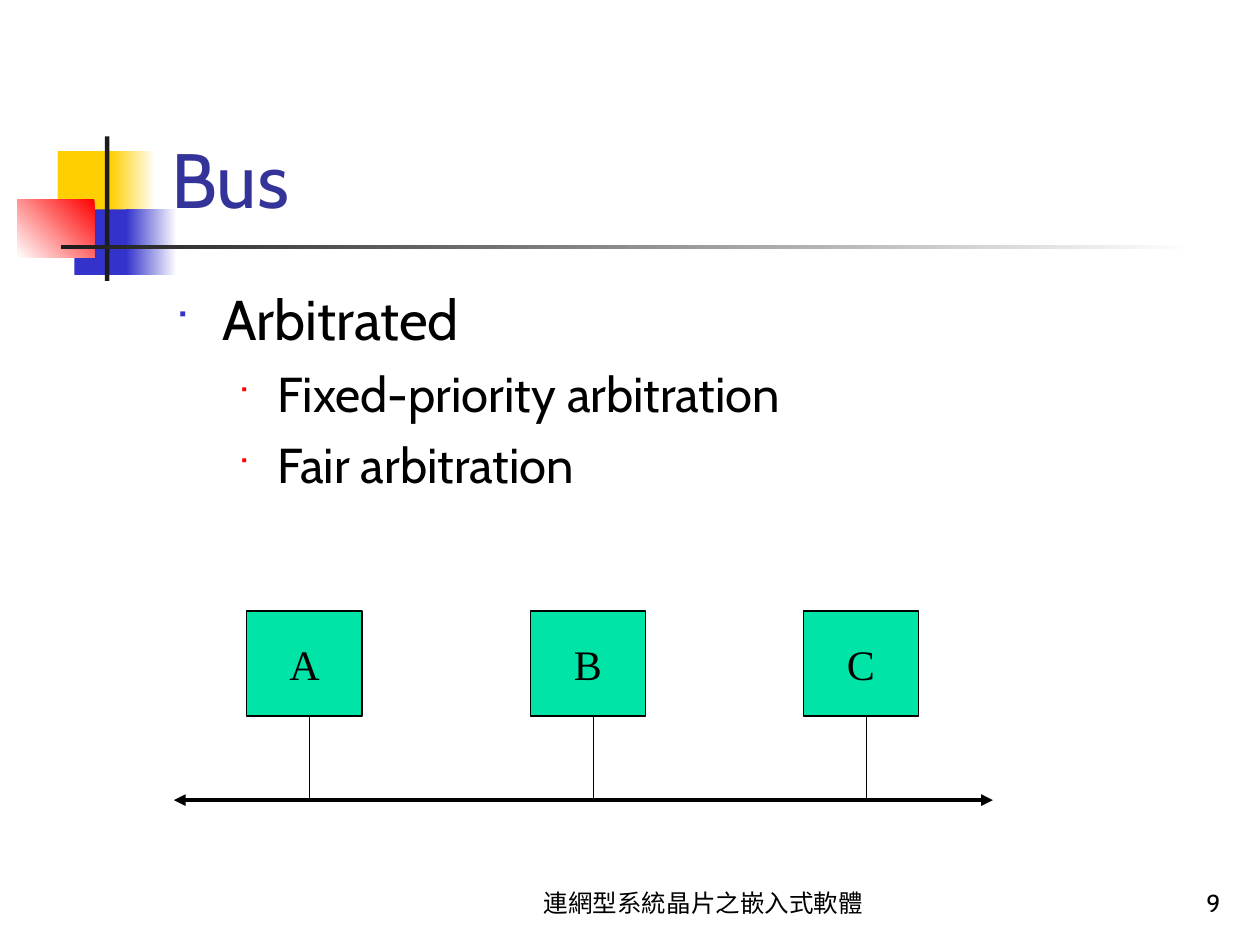
from lxml import etree
from pptx import Presentation
from pptx.dml.color import RGBColor
from pptx.enum.shapes import MSO_CONNECTOR, MSO_SHAPE
from pptx.enum.text import MSO_ANCHOR, MSO_AUTO_SIZE, PP_ALIGN
from pptx.oxml.ns import qn
from pptx.util import Pt

RECT = MSO_SHAPE.RECTANGLE
LINE = MSO_CONNECTOR.STRAIGHT
FIXED = MSO_AUTO_SIZE.NONE
LEFT, MID, RIGHT = PP_ALIGN.LEFT, PP_ALIGN.CENTER, PP_ALIGN.RIGHT
TOP, CENTER, BOTTOM = MSO_ANCHOR.TOP, MSO_ANCHOR.MIDDLE, MSO_ANCHOR.BOTTOM

WHITE = RGBColor(0xFF, 0xFF, 0xFF)
BLACK = RGBColor(0, 0, 0)
GOLD = RGBColor(0xFF, 0xCF, 0x01)
BLUE = RGBColor(0x33, 0x33, 0xCC)
RED = RGBColor(0xFF, 0, 0)
DARK = RGBColor(0x1C, 0x1C, 0x1C)
NAVY = RGBColor(0x33, 0x33, 0x99)
GREEN = RGBColor(0, 0xE4, 0xA8)


class Deck:
    sans = "Cabin"
    serif = "Times New Roman"

    def __init__(self, wide, high):
        self.file = Presentation()
        self.file.slide_width, self.file.slide_height = Pt(wide), Pt(high)
        self.slide = self.file.slides.add_slide(self.file.slide_layouts[5])
        self.shapes = self.slide.shapes

    def text(self, para, words, size, color=BLACK, font=sans, align=LEFT):
        para.alignment = align
        run = para.add_run()
        run.text = words
        run.font.size, run.font.name = Pt(size), font
        run.font.color.rgb = color

    def title(self, words, x, y, w, h):
        head = self.shapes.title
        head.left, head.top, head.width, head.height = map(Pt, (x, y, w, h))
        frame = head.text_frame
        frame.auto_size = FIXED
        frame.vertical_anchor = BOTTOM
        self.text(frame.paragraphs[0], words, 44, NAVY)

    def rect(self, x, y, w, h, color):
        shape = self.shapes.add_shape(RECT, Pt(x), Pt(y), Pt(w), Pt(h))
        shape.shadow.inherit = False
        shape.fill.solid()
        shape.fill.fore_color.rgb = color
        shape.line.fill.background()
        return shape

    def fade(self, x, y, w, h, start, end, angle=180):
        fill = self.rect(x, y, w, h, start).fill
        fill.gradient()
        fill.gradient_angle = angle
        for stop, color in zip(fill.gradient_stops, (start, end)):
            stop.color.rgb = color

    def node(self, name, x, y, w, h):
        shape = self.rect(x, y, w, h, GREEN)
        shape.line.color.rgb = BLACK
        shape.line.width = Pt(0.75)
        frame = shape.text_frame
        frame.word_wrap = False
        frame.vertical_anchor = CENTER
        self.text(frame.paragraphs[0], name, 24, font=self.serif, align=MID)

    def wire(self, x1, y1, x2, y2, width=0.75, heads=False):
        wire = self.shapes.add_connector(LINE, Pt(x1), Pt(y1), Pt(x2), Pt(y2))
        wire.line.color.rgb = BLACK
        wire.line.width = Pt(width)
        props = wire._element.spPr
        if heads:
            edge = props.find(qn("a:ln"))
            for end in ("a:headEnd", "a:tailEnd"):
                etree.SubElement(edge, qn(end), type="triangle")
        etree.SubElement(props, qn("a:effectLst"))

    def frame(self, x, y, w, h, anchor):
        frame = self.shapes.add_textbox(Pt(x), Pt(y), Pt(w), Pt(h)).text_frame
        frame.word_wrap = True
        frame.vertical_anchor = anchor
        return frame

    def label(self, words, x, y, w, h, align):
        frame = self.frame(x, y, w, h, BOTTOM)
        self.text(frame.paragraphs[0], words, 14, align=align)

    def points(self, items, x, y, w, h):
        frame = self.frame(x, y, w, h, TOP)
        looks = ((32, BLUE, 60, 27, 27), (28, RED, 55, 58.5, 22.5))
        for i, (level, words) in enumerate(items):
            size, color, scale, left, hang = looks[level]
            para = frame.add_paragraph() if i else frame.paragraphs[0]
            para.level = level
            props = para._p.get_or_add_pPr()
            props.set("marL", str(Pt(left)))
            props.set("indent", str(-Pt(hang)))
            tint = etree.SubElement(props, qn("a:buClr"))
            etree.SubElement(tint, qn("a:srgbClr"), val=str(color))
            etree.SubElement(props, qn("a:buSzPct"), val=str(scale * 1000))
            etree.SubElement(props, qn("a:buFont"), typeface="Wingdings")
            etree.SubElement(props, qn("a:buChar"), char="■")
            if i:
                para.space_before = Pt(7)
            self.text(para, words, size)


def main():
    deck = Deck(720, 540)
    deck.rect(33, 86.4, 34.5, 37.5, GOLD)
    deck.fade(63, 86.4, 26, 37.5, WHITE, GOLD)
    deck.rect(42.5, 119.6, 33, 37.5, BLUE)
    deck.fade(72, 119.6, 29, 37.5, WHITE, BLUE)
    deck.fade(10, 113.8, 44, 33.5, RED, WHITE, 225)
    deck.rect(60, 78, 2.5, 82.5, DARK)
    deck.fade(34.8, 140, 648, 2.5, WHITE, DARK)

    deck.title("Bus", 90.7, 16.6, 613.4, 115.2)
    items = ((0, "Arbitrated"), (1, "Fixed-priority arbitration"),
             (1, "Fair arbitration"))
    deck.points(items, 93, 159, 612, 324)

    top, high, bus = 349.2, 60, 457.2
    for name, x in (("A", 141), ("B", 303), ("C", 459)):
        deck.node(name, x, top, 66, high)
        deck.wire(x + 36, top + high, x + 36, bus)
    deck.wire(99.4, bus, 567.4, bus, 2.25, True)

    deck.label("連網型系統晶片之嵌入式軟體", 288, 492, 228, 36, MID)
    deck.label("9", 554.4, 492, 150, 36, RIGHT)
    deck.file.save("out.pptx")


if __name__ == "__main__":
    main()
